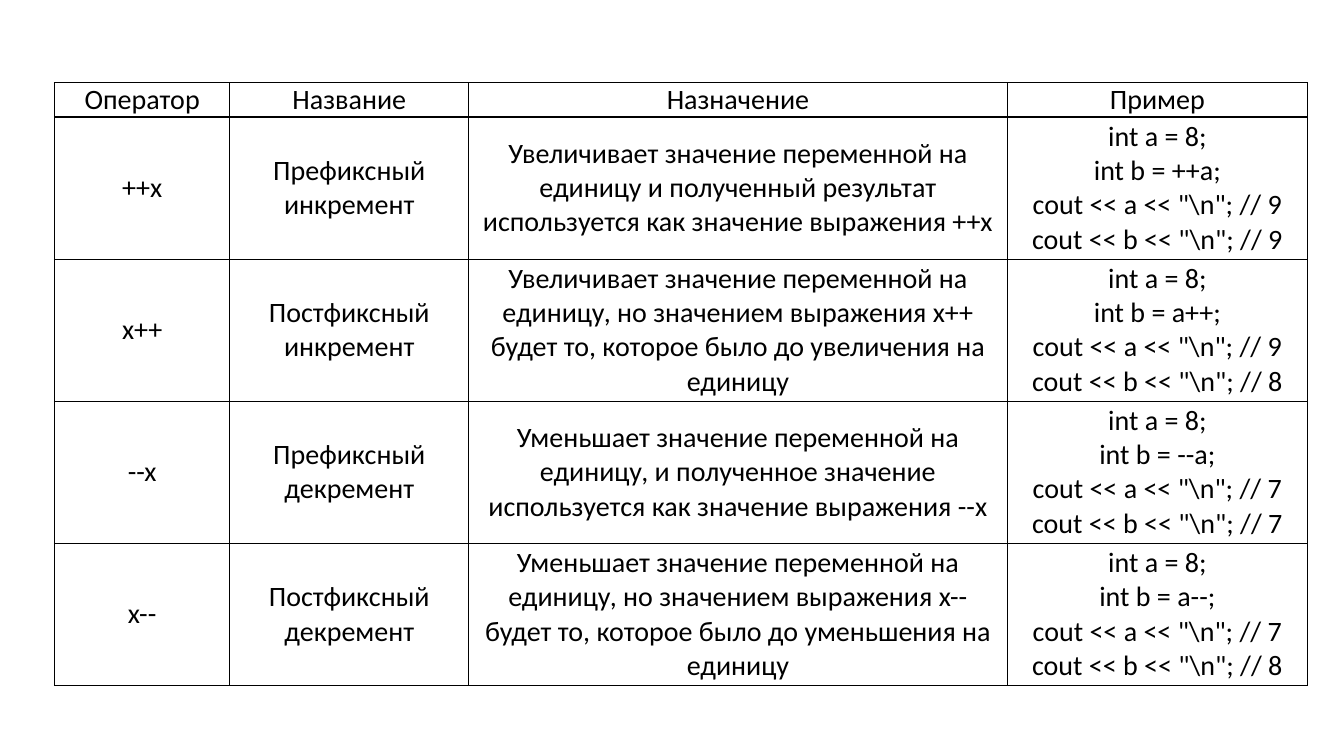
from dataclasses import dataclass

from lxml import etree
from pptx import Presentation
from pptx.dml.color import RGBColor
from pptx.enum.text import MSO_ANCHOR, PP_ALIGN
from pptx.oxml.ns import qn
from pptx.util import Inches, Pt

CENTER = PP_ALIGN.CENTER
MIDDLE = MSO_ANCHOR.MIDDLE


@dataclass(frozen=True)
class Theme:
    font: str = "Calibri"
    size: int = 20
    ink: str = "000000"
    paper: str = "FFFFFF"
    border: int = 1


theme = Theme()


def add_borders(cell):
    properties = cell._tc.get_or_add_tcPr()
    for position, side in enumerate(("lnL", "lnR", "lnT", "lnB")):
        line = etree.Element(qn(f"a:{side}"), w=str(Pt(theme.border)))
        fill = etree.SubElement(line, qn("a:solidFill"))
        etree.SubElement(fill, qn("a:srgbClr"), val=theme.ink)
        properties.insert(position, line)


def fill_cell(cell, lines):
    cell.fill.solid()
    cell.fill.fore_color.rgb = RGBColor.from_string(theme.paper)
    cell.vertical_anchor = MIDDLE
    cell.margin_left = cell.margin_right = Inches(0.04)
    cell.margin_top = cell.margin_bottom = 0
    for number, line in enumerate(lines):
        frame = cell.text_frame
        paragraph = frame.add_paragraph() if number else frame.paragraphs[0]
        paragraph.alignment = CENTER
        run = paragraph.add_run()
        run.text = line
        run.font.name = theme.font
        run.font.size = Pt(theme.size)
        run.font.color.rgb = RGBColor.from_string(theme.ink)
    add_borders(cell)


headings = ["Оператор", "Название", "Назначение", "Пример"]
operators = [
    ("++x", "Префиксный инкремент",
     "Увеличивает значение переменной на единицу и полученный результат "
     "используется как значение выражения ++x", 9, 9),
    ("x++", "Постфиксный инкремент",
     "Увеличивает значение переменной на единицу, но значением выражения x++ "
     "будет то, которое было до увеличения на единицу", 9, 8),
    ("--x", "Префиксный декремент",
     "Уменьшает значение переменной на единицу, и полученное значение "
     "используется как значение выражения --x", 7, 7),
    ("x--", "Постфиксный декремент",
     "Уменьшает значение переменной на единицу, но значением выражения x-- "
     "будет то, которое было до уменьшения на единицу", 7, 8),
]

rows = [[[heading] for heading in headings]]
for operator, name, purpose, a, b in operators:
    example = [
        "int a = 8;",
        f"int b = {operator.replace('x', 'a')};",
        f'cout << a << "\\n"; // {a}',
        f'cout << b << "\\n"; // {b}',
    ]
    rows.append([[operator], [name], [purpose], example])

column_widths = [1.74, 2.37, 5.34, 2.98]
row_heights = [0.34] + [1.41] * len(operators)

presentation = Presentation()
presentation.slide_width = Inches(13.33)
presentation.slide_height = Inches(7.5)
slide = presentation.slides.add_slide(presentation.slide_layouts[6])

operator_table = slide.shapes.add_table(
    len(rows), len(headings), Inches(0.54), Inches(0.82),
    Inches(sum(column_widths)), Inches(sum(row_heights)),
).table
operator_table.horz_banding = False
for column, width in zip(operator_table.columns, column_widths):
    column.width = Inches(width)
for row, height, contents in zip(operator_table.rows, row_heights, rows):
    row.height = Inches(height)
    for cell, lines in zip(row.cells, contents):
        fill_cell(cell, lines)
operator_table.first_row = False

presentation.save("out.pptx")
